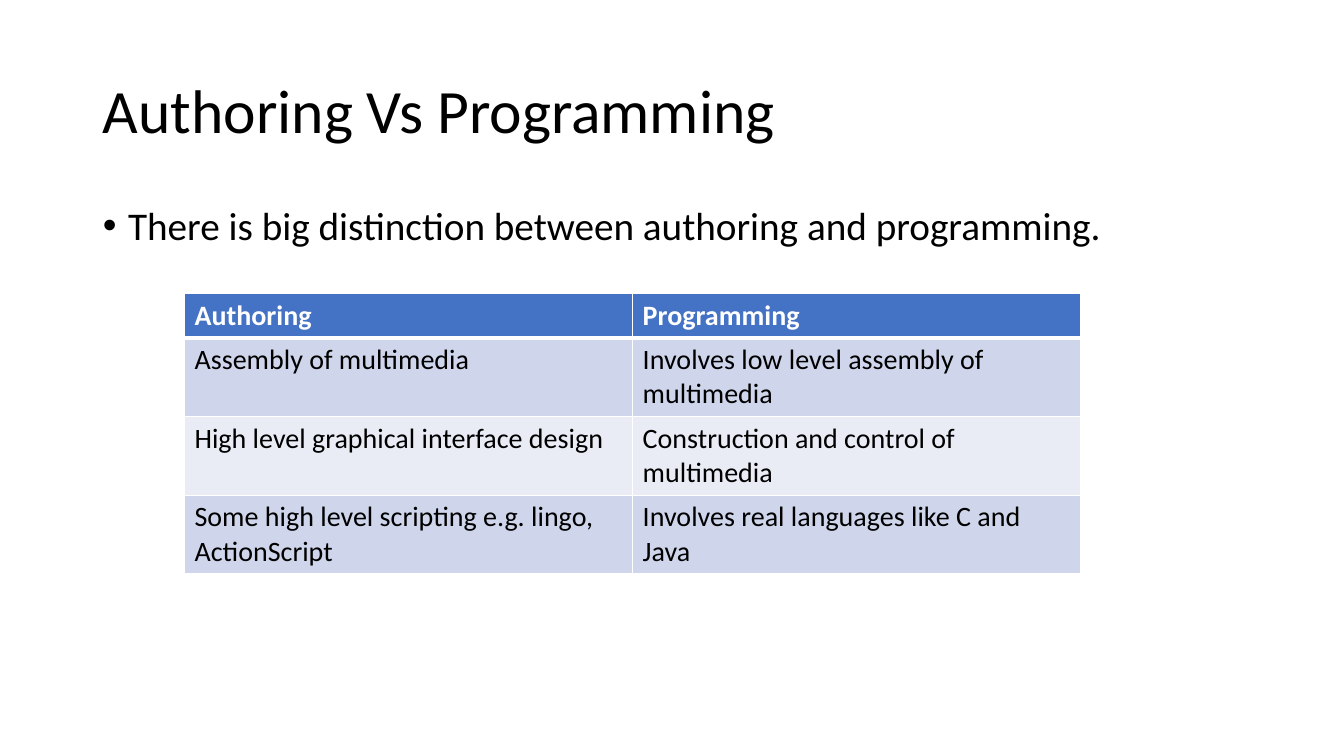
from lxml import etree
from pptx import Presentation
from pptx.dml.color import RGBColor
from pptx.enum.text import MSO_ANCHOR, PP_ALIGN
from pptx.oxml.ns import qn
from pptx.util import Pt

PX = 9144
LEFT = PP_ALIGN.LEFT
TOP = MSO_ANCHOR.TOP
MIDDLE = MSO_ANCHOR.MIDDLE

BLACK = RGBColor(0x00, 0x00, 0x00)
WHITE = RGBColor(0xFF, 0xFF, 0xFF)
HEADER_BLUE = RGBColor(0x44, 0x72, 0xC4)
ODD_BAND = RGBColor(0xCF, 0xD5, 0xEA)
EVEN_BAND = RGBColor(0xE9, 0xEB, 0xF5)

FONT = "Calibri"
ROW_HEIGHT = 41
COMPARISON = [
    ("Authoring", "Programming"),
    ("Assembly of multimedia", "Involves low level assembly of multimedia"),
    ("High level graphical interface design", "Construction and control of multimedia"),
    ("Some high level scripting e.g. lingo, ActionScript", "Involves real languages like C and Java"),
]


def px(length):
    return length * PX


def style_paragraph(paragraph, size, color, bold=False):
    paragraph.alignment = LEFT
    font = paragraph.font
    font.name = FONT
    font.size = Pt(size)
    font.bold = bold
    font.color.rgb = color


def fill_placeholder(placeholder, box, text, size, anchor):
    placeholder.left, placeholder.top, placeholder.width, placeholder.height = map(px, box)
    frame = placeholder.text_frame
    frame.text = text
    frame.vertical_anchor = anchor
    paragraph = frame.paragraphs[0]
    paragraph.line_spacing = 0.9
    style_paragraph(paragraph, size, BLACK)
    return paragraph


def add_title(slide, box):
    fill_placeholder(slide.shapes.title, box, "Authoring Vs Programming", 44, MIDDLE)


def add_statement(slide, box):
    statement = fill_placeholder(
        slide.placeholders[1], box,
        "There is big distinction between authoring and programming.", 28, TOP)
    statement.space_before = Pt(10)
    properties = statement._p.get_or_add_pPr()
    properties.set("marL", str(px(25)))
    properties.set("indent", str(px(-25)))


def add_border(cell, side, points):
    line = etree.SubElement(cell._tc.get_or_add_tcPr(), qn(f"a:{side}"), w=str(Pt(points)))
    fill = etree.SubElement(line, qn("a:solidFill"))
    etree.SubElement(fill, qn("a:srgbClr"), val=str(WHITE))


def style_cell(cell, text, row):
    is_header = row == 0
    widths = {
        "lnL": 1,
        "lnR": 1,
        "lnT": 3 if row == 1 else 1,
        "lnB": 3 if is_header else 1,
    }
    for side, points in widths.items():
        add_border(cell, side, points)
    cell.fill.solid()
    band = ODD_BAND if row % 2 else EVEN_BAND
    cell.fill.fore_color.rgb = HEADER_BLUE if is_header else band
    cell.text = text
    style_paragraph(cell.text_frame.paragraphs[0], 20, WHITE if is_header else BLACK, is_header)


def add_comparison(slide, box):
    left, top, width, height = map(px, box)
    table = slide.shapes.add_table(
        len(COMPARISON), len(COMPARISON[0]), left, top, width, height).table
    for row, texts in enumerate(COMPARISON):
        for column, text in enumerate(texts):
            style_cell(table.cell(row, column), text, row)


def main():
    presentation = Presentation()
    presentation.slide_width = px(1333)
    presentation.slide_height = px(750)
    slide = presentation.slides.add_slide(presentation.slide_layouts[1])
    add_title(slide, (92, 40, 1150, 145))
    add_statement(slide, (92, 200, 1150, 476))
    add_comparison(slide, (183, 291, 889, ROW_HEIGHT * len(COMPARISON)))
    presentation.save("out.pptx")


if __name__ == "__main__":
    main()
